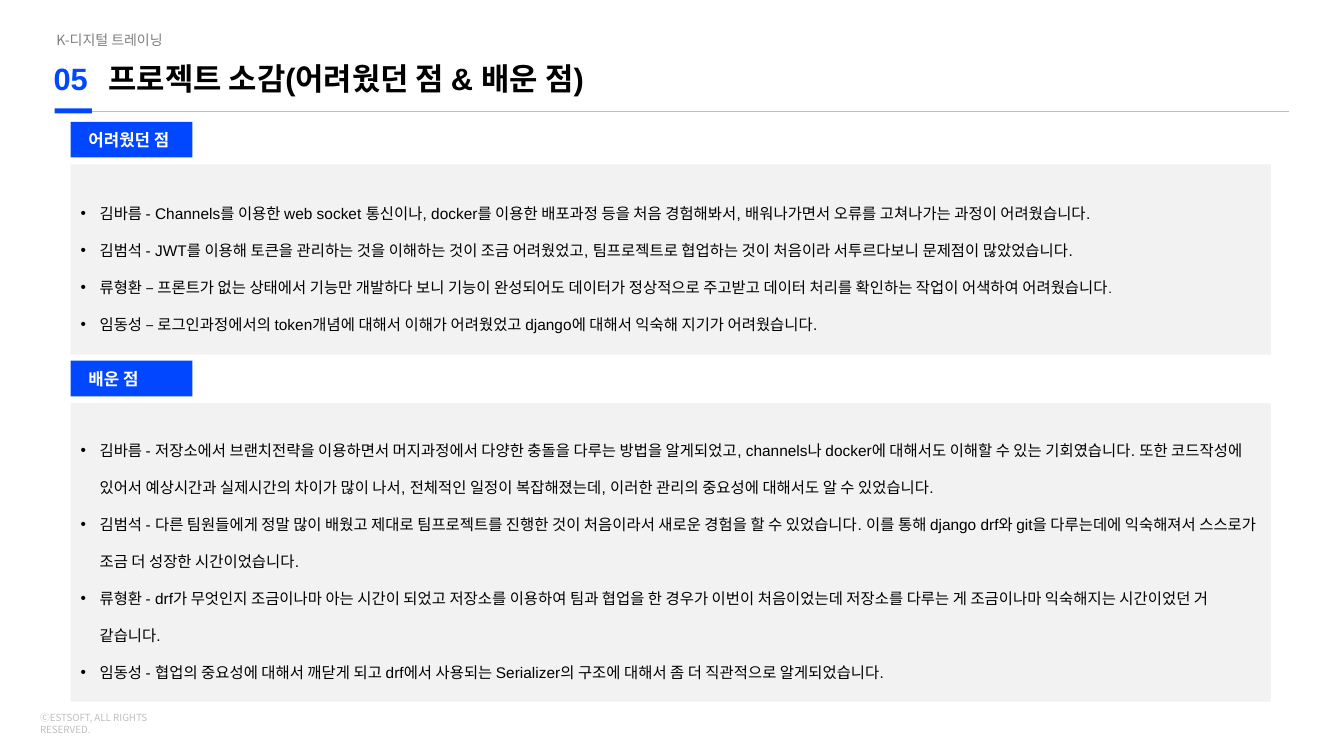
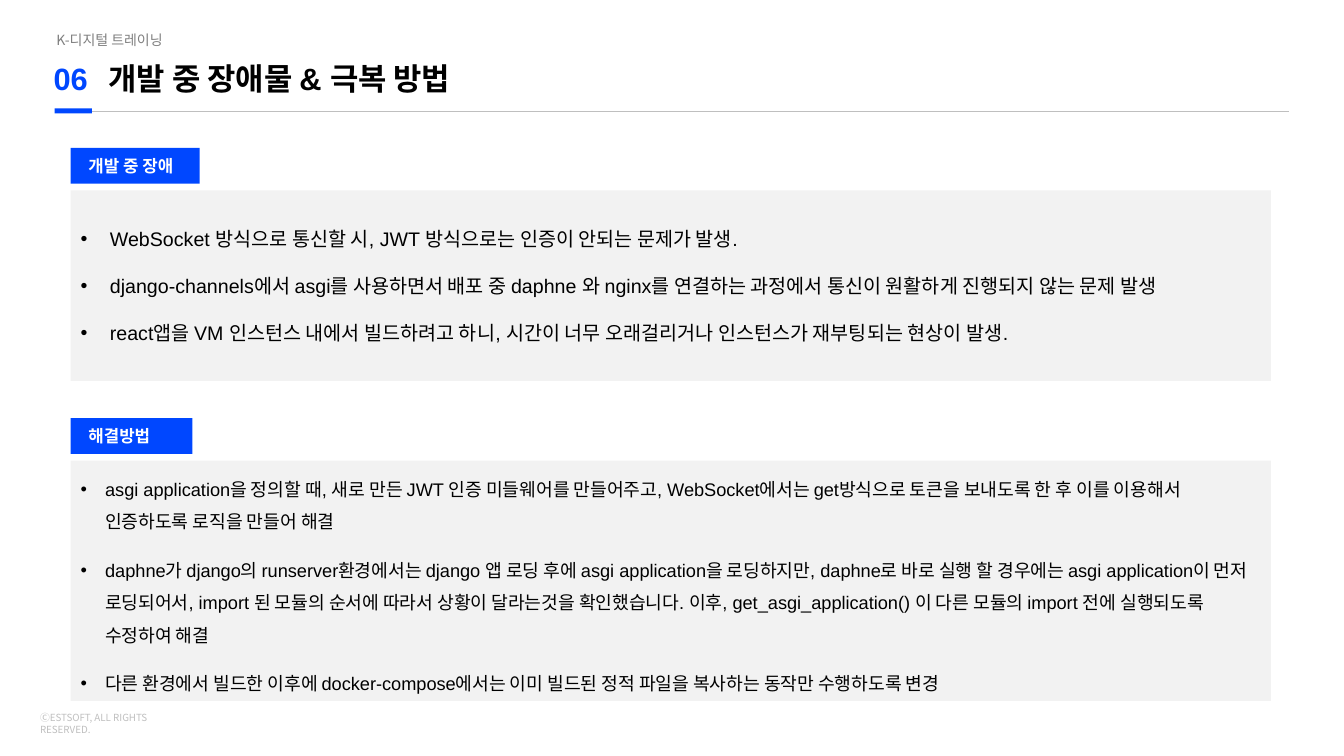
from lxml import etree
from pptx import Presentation
from pptx.dml.color import RGBColor
from pptx.enum.shapes import MSO_CONNECTOR, MSO_SHAPE
from pptx.enum.text import MSO_ANCHOR, PP_ALIGN
from pptx.oxml.ns import qn
from pptx.util import Cm, Pt

# Content
PROGRAM = "K-디지털 트레이닝"
COPYRIGHT = "ⒸESTSOFT, ALL RIGHTS RESERVED."

# A bullet is one text, or a tuple of (text, font) pairs
SLIDES = [
    {
        "number": "05",
        "title": "프로젝트 소감(어려웠던 점 & 배운 점)",
        "sections": [
            {
                "label": "어려웠던 점", "top": 3.07, "height": 4.8,
                "style": {"size": 11, "line": 2, "indent": 0.48},
                "bullets": [
                    "김바름 - Channels를 이용한 web socket 통신이나, docker를 이용한 배포과정 등을 "
                    "처음 경험해봐서, 배워나가면서 오류를 고쳐나가는 과정이 어려웠습니다.",
                    "김범석 - JWT를 이용해 토큰을 관리하는 것을 이해하는 것이 조금 어려웠었고, "
                    "팀프로젝트로 협업하는 것이 처음이라 서투르다보니 문제점이 많았었습니다.",
                    (("류형환 – ", "Arial"),
                     ("프론트가 없는 상태에서 기능만 개발하다 보니 기능이 완성되어도 데이터가 정상적으로 "
                      "주고받고 데이터 처리를 확인하는 작업이 어색하여 어려웠습니다.", "Cabin")),
                    "임동성 – 로그인과정에서의 token개념에 대해서 이해가 어려웠었고 "
                    "django에 대해서 익숙해 지기가 어려웠습니다.",
                ],
            },
            {
                "label": "배운 점", "top": 9.09, "height": 7.52,
                "style": {"size": 11, "line": 2, "indent": 0.48},
                "bullets": [
                    "김바름 - 저장소에서 브랜치전략을 이용하면서 머지과정에서 다양한 충돌을 다루는 방법을 "
                    "알게되었고, channels나 docker에 대해서도 이해할 수 있는 기회였습니다. 또한 "
                    "코드작성에 있어서 예상시간과 실제시간의 차이가 많이 나서, 전체적인 일정이 "
                    "복잡해졌는데, 이러한 관리의 중요성에 대해서도 알 수 있었습니다.",
                    "김범석 - 다른 팀원들에게 정말 많이 배웠고 제대로 팀프로젝트를 진행한 것이 처음이라서 "
                    "새로운 경험을 할 수 있었습니다. 이를 통해 django drf와 git을 다루는데에 "
                    "익숙해져서 스스로가 조금 더 성장한 시간이었습니다.",
                    "류형환 - drf가 무엇인지 조금이나마 아는 시간이 되었고 저장소를 이용하여 팀과 협업을 "
                    "한 경우가 이번이 처음이었는데 저장소를 다루는 게 조금이나마 익숙해지는 "
                    "시간이었던 거 같습니다.",
                    "임동성 - 협업의 중요성에 대해서 깨닫게 되고 drf에서 사용되는 Serializer의 "
                    "구조에 대해서 좀 더 직관적으로 알게되었습니다.",
                ],
            },
        ],
    },
    {
        "number": "06",
        "title": "개발 중 장애물 & 극복 방법",
        "sections": [
            {
                "label": "개발 중 장애", "label_width": 3.25, "top": 3.73, "height": 4.8,
                "style": {"size": 14, "before": 16.8, "indent": 0.74},
                "bullets": [
                    "WebSocket 방식으로 통신할 시, JWT 방식으로는 인증이 안되는 문제가 발생.",
                    "django-channels에서 asgi를 사용하면서 배포 중 daphne 와 nginx를 연결하는 "
                    "과정에서 통신이 원활하게 진행되지 않는 문제 발생",
                    "react앱을 VM 인스턴스 내에서 빌드하려고 하니, 시간이 너무 오래걸리거나 "
                    "인스턴스가 재부팅되는 현상이 발생.",
                ],
            },
            {
                "label": "해결방법", "top": 10.54, "height": 6.05,
                "style": {"size": 13, "line": 1.5, "before": 11, "indent": 0.62},
                "bullets": [
                    "asgi application을 정의할 때, 새로 만든 JWT 인증 미들웨어를 만들어주고, "
                    "WebSocket에서는 get방식으로 토큰을 보내도록 한 후 이를 이용해서 인증하도록 "
                    "로직을 만들어 해결",
                    "daphne가 django의 runserver환경에서는 django 앱 로딩 후에 asgi "
                    "application을 로딩하지만, daphne로 바로 실행 할 경우에는 asgi application이 "
                    "먼저 로딩되어서, import 된 모듈의 순서에 따라서 상황이 달라는것을 확인했습니다. "
                    "이후, get_asgi_application() 이 다른 모듈의 import 전에 실행되도록 "
                    "수정하여 해결",
                    "다른 환경에서 빌드한 이후에 docker-compose에서는 이미 빌드된 정적 파일을 "
                    "복사하는 동작만 수행하도록 변경",
                ],
            },
        ],
    },
]

# Shared look
COLORS = {"accent": "0047FF", "panel": "F2F2F2", "rule": "BFBFBF",
          "muted": "7F7F7F", "black": "000000", "white": "FFFFFF"}
KOREAN = "Noto Sans CJK KR"
PANEL_LEFT, PANEL_WIDTH = 1.78, 30.25
LABEL_WIDTH, LABEL_HEIGHT, LABEL_STEP = 3.07, 0.9, 1.07


def color(name):
    return RGBColor.from_string(COLORS[name])


def add_bullet(para, indent):
    props = para._p.get_or_add_pPr()
    props.set("marL", str(Cm(indent)))
    props.set("indent", str(-Cm(indent)))
    tint = etree.SubElement(props, qn("a:buClr"))
    etree.SubElement(tint, qn("a:srgbClr"), val=COLORS["black"])
    etree.SubElement(props, qn("a:buFont"), typeface="Arial")
    etree.SubElement(props, qn("a:buChar"), char="•")


def write(frame, texts, size, font="Arial", fill="black", bold=False,
          line=None, before=0, indent=None, anchor=MSO_ANCHOR.TOP):
    """Fill a text frame; an indent turns the paragraphs into bullets."""
    frame.word_wrap = True
    frame.vertical_anchor = anchor
    for index, text in enumerate(texts):
        para = frame.add_paragraph() if index else frame.paragraphs[0]
        para.alignment = PP_ALIGN.LEFT
        if indent:
            add_bullet(para, indent)
        if line:
            para.line_spacing = line
        if before and index:
            para.space_before = Pt(before)
        for words, face in ((text, font),) if isinstance(text, str) else text:
            span = para.add_run()
            span.text = words
            span.font.name, span.font.size, span.font.bold = face, Pt(size), bold
            span.font.color.rgb = color(fill)


def add_text(page, text, left, top, width, height, **style):
    box = page.shapes.add_textbox(Cm(left), Cm(top), Cm(width), Cm(height))
    write(box.text_frame, [text], **style)


def add_block(page, left, top, width, height, fill):
    block = page.shapes.add_shape(MSO_SHAPE.RECTANGLE, Cm(left), Cm(top), Cm(width), Cm(height))
    block.shadow.inherit = False
    block.fill.solid()
    block.fill.fore_color.rgb = color(fill)
    block.line.fill.background()
    return block


def add_frame(page, number, title):
    """Footer, header text and the rule with its accent bar."""
    add_text(page, COPYRIGHT, 0.76, 17.81, 4.5, 0.56, size=7, font=KOREAN, fill="rule")
    add_text(page, PROGRAM, 1.17, 0.66, 4, 0.68, size=10, font=KOREAN, fill="muted")
    add_text(page, number, 1.1, 1.37, 1.47, 1.2, size=22, fill="accent", bold=True)
    add_text(page, title, 2.49, 1.37, 25, 1.2, size=22, bold=True)
    rule = page.shapes.add_connector(MSO_CONNECTOR.STRAIGHT, Cm(1.45), Cm(2.8), Cm(32.49), Cm(2.8))
    rule.line.color.rgb = color("rule")
    rule.line.width = Pt(0.75)
    etree.SubElement(rule._element.spPr, qn("a:effectLst"))
    add_block(page, 1.38, 2.73, 0.94, 0.13, "accent")


def add_section(page, section):
    """A grey panel of bullets under its blue label."""
    panel = add_block(page, PANEL_LEFT, section["top"] + LABEL_STEP,
                      PANEL_WIDTH, section["height"], "panel")
    write(panel.text_frame, section["bullets"], anchor=MSO_ANCHOR.MIDDLE, **section["style"])
    label = add_block(page, PANEL_LEFT, section["top"],
                      section.get("label_width", LABEL_WIDTH), LABEL_HEIGHT, "accent")
    label.text_frame.margin_left = Cm(0.45)
    write(label.text_frame, [section["label"]], size=12, font=KOREAN, fill="white",
          bold=True, anchor=MSO_ANCHOR.MIDDLE)


def main():
    deck = Presentation()
    deck.slide_width, deck.slide_height = Cm(33.87), Cm(19.05)
    for content in SLIDES:
        page = deck.slides.add_slide(deck.slide_layouts[6])
        add_frame(page, content["number"], content["title"])
        for section in content["sections"]:
            add_section(page, section)
    deck.save("out.pptx")


if __name__ == "__main__":
    main()
